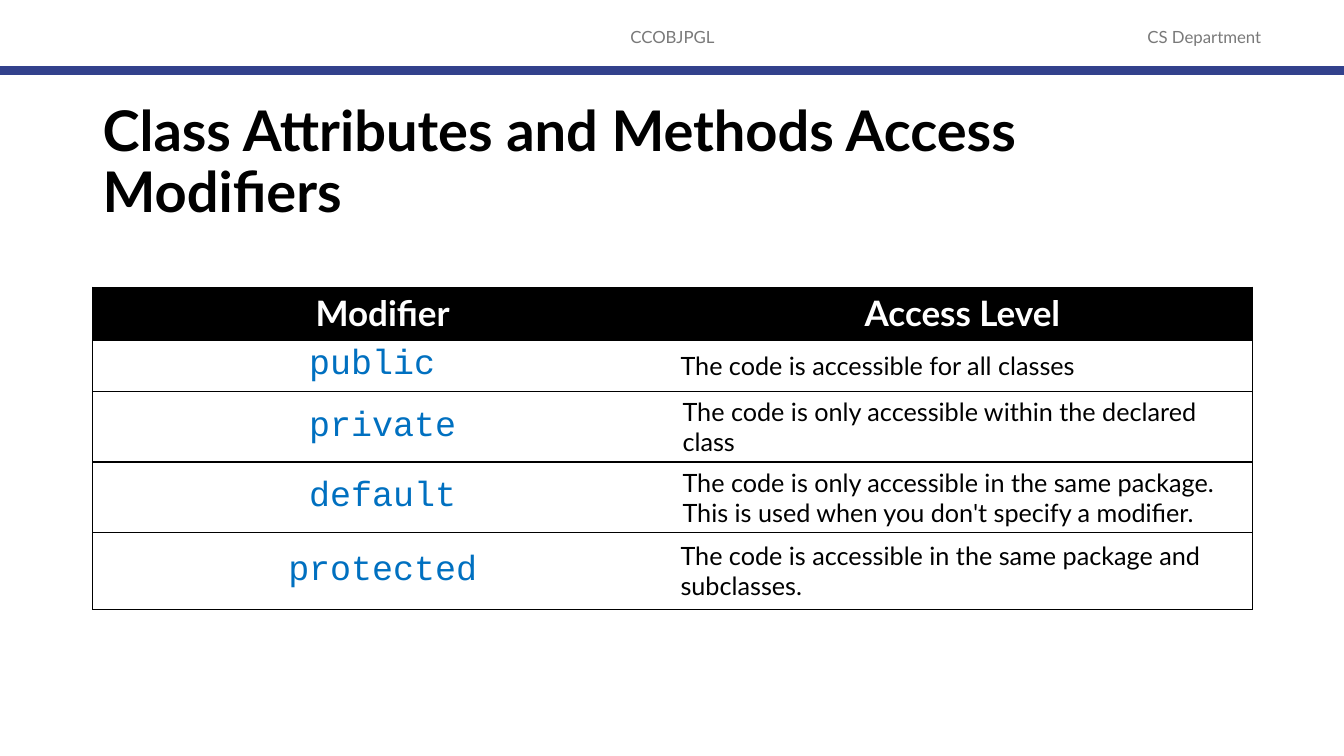
from lxml import etree
from pptx import Presentation
from pptx.dml.color import RGBColor
from pptx.enum.shapes import MSO_CONNECTOR
from pptx.enum.text import MSO_ANCHOR, PP_ALIGN
from pptx.oxml.ns import qn
from pptx.util import Inches, Pt

CENTER, LEFT = PP_ALIGN.CENTER, PP_ALIGN.LEFT
TOP, MIDDLE = MSO_ANCHOR.TOP, MSO_ANCHOR.MIDDLE
STRAIGHT = MSO_CONNECTOR.STRAIGHT
BLACK, WHITE, GRAY, NAVY, BLUE = "000000", "FFFFFF", "797979", "32418C", "0070C0"


def write(frame, text, size, color, font="Lato", bold=False, align=LEFT):
    """Fill a text frame with one uniformly formatted paragraph."""
    frame.word_wrap = True
    paragraph = frame.paragraphs[0]
    paragraph.text = text
    paragraph.alignment = align
    paragraph.font.size = Pt(size)
    paragraph.font.name = font
    paragraph.font.bold = bold
    paragraph.font.color.rgb = RGBColor.from_string(color)
    return paragraph


def add_border(cell, side, width):
    """Draw a black edge on side L, R, T or B; width 0 hides the edge."""
    edge = etree.SubElement(cell._tc.get_or_add_tcPr(), qn(f"a:ln{side}"), w=str(Pt(width)))
    if width:
        fill = etree.SubElement(edge, qn("a:solidFill"))
        etree.SubElement(fill, qn("a:srgbClr"), val=BLACK)
    else:
        etree.SubElement(edge, qn("a:noFill"))


prs = Presentation()
prs.slide_width, prs.slide_height = Inches(13.33), Inches(7.5)
slide = prs.slides.add_slide(prs.slide_layouts[6])

# Page header
for text, left, width in [("CCOBJPGL", 4.42, 4.5), ("CS Department", 10.92, 2.05)]:
    label = slide.shapes.add_textbox(Inches(left), Inches(0.17), Inches(width), Inches(0.4))
    label.text_frame.vertical_anchor = MIDDLE
    write(label.text_frame, text, 12, GRAY, align=CENTER)

rule = slide.shapes.add_connector(STRAIGHT, 0, Inches(0.7), prs.slide_width, Inches(0.7))
rule.line.color.rgb = RGBColor.from_string(NAVY)
rule.line.width = Pt(6)
etree.SubElement(rule._element.spPr, qn("a:effectLst"))

# Title
title = slide.shapes.add_textbox(Inches(0.92), Inches(0.9), Inches(11.5), Inches(1.45))
title.text_frame.vertical_anchor = MIDDLE
heading = write(title.text_frame, "Class Attributes and Methods Access Modifiers", 40, BLACK, bold=True)
heading.line_spacing = 0.9

# Modifier table: modifier, access level, row height, left inset of the access level
modifiers = [
    ("Modifier", "Access Level", 0.51, 0.1),
    ("public ", "The code is accessible for all classes", 0.5, 0.08),
    ("private", "The code is only accessible within the declared class", 0.7, 0.1),
    ("default", "The code is only accessible in the same package. "
                "This is used when you don't specify a modifier.", 0.7, 0.1),
    ("protected", "The code is accessible in the same package and subclasses.", 0.76, 0.08),
]
table = slide.shapes.add_table(
    len(modifiers), 2, Inches(0.92), Inches(2.85), Inches(11.5), Inches(3.17)
).table
table.horz_banding = False

for row, (modifier, access, height, inset) in enumerate(modifiers):
    table.rows[row].height = Inches(height)
    is_header = row == 0
    for column, text in enumerate((modifier, access)):
        cell = table.cell(row, column)
        cell.vertical_anchor = TOP if is_header else MIDDLE
        top_width = 3 if row == 1 else 1
        bottom_width = 3 if is_header else 1
        widths = {"L": 1 - column, "R": column, "T": top_width, "B": bottom_width}
        for side, width in widths.items():
            add_border(cell, side, width)
        cell.fill.solid()
        cell.fill.fore_color.rgb = RGBColor.from_string(BLACK if is_header else WHITE)
        if is_header:
            write(cell.text_frame, text, 25, WHITE, bold=True, align=CENTER)
        elif column == 0:
            write(cell.text_frame, text, 25, BLUE, font="Courier New", align=CENTER)
        else:
            cell.margin_left = cell.margin_right = Inches(inset)
            write(cell.text_frame, text, 18, BLACK)

prs.save("out.pptx")
